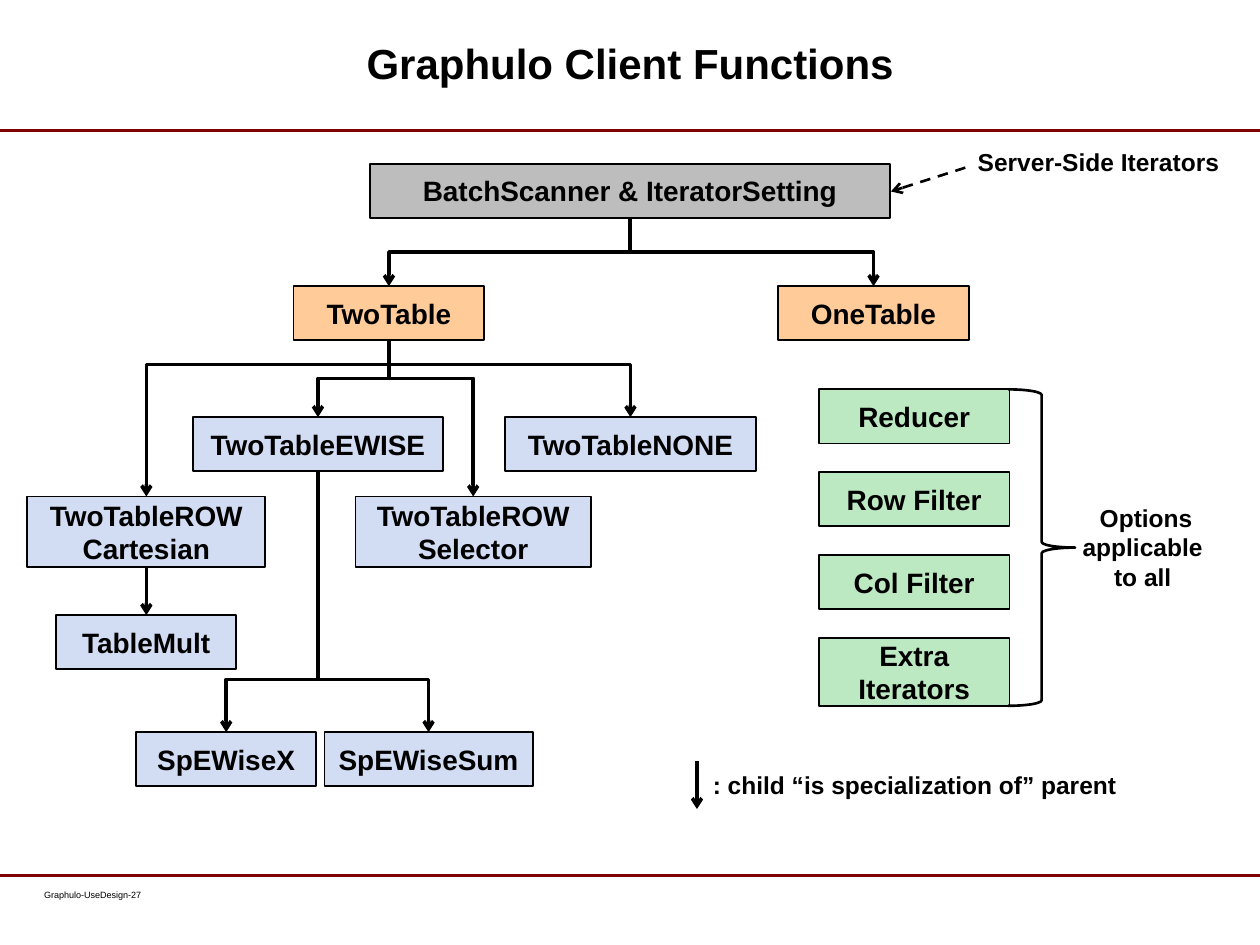
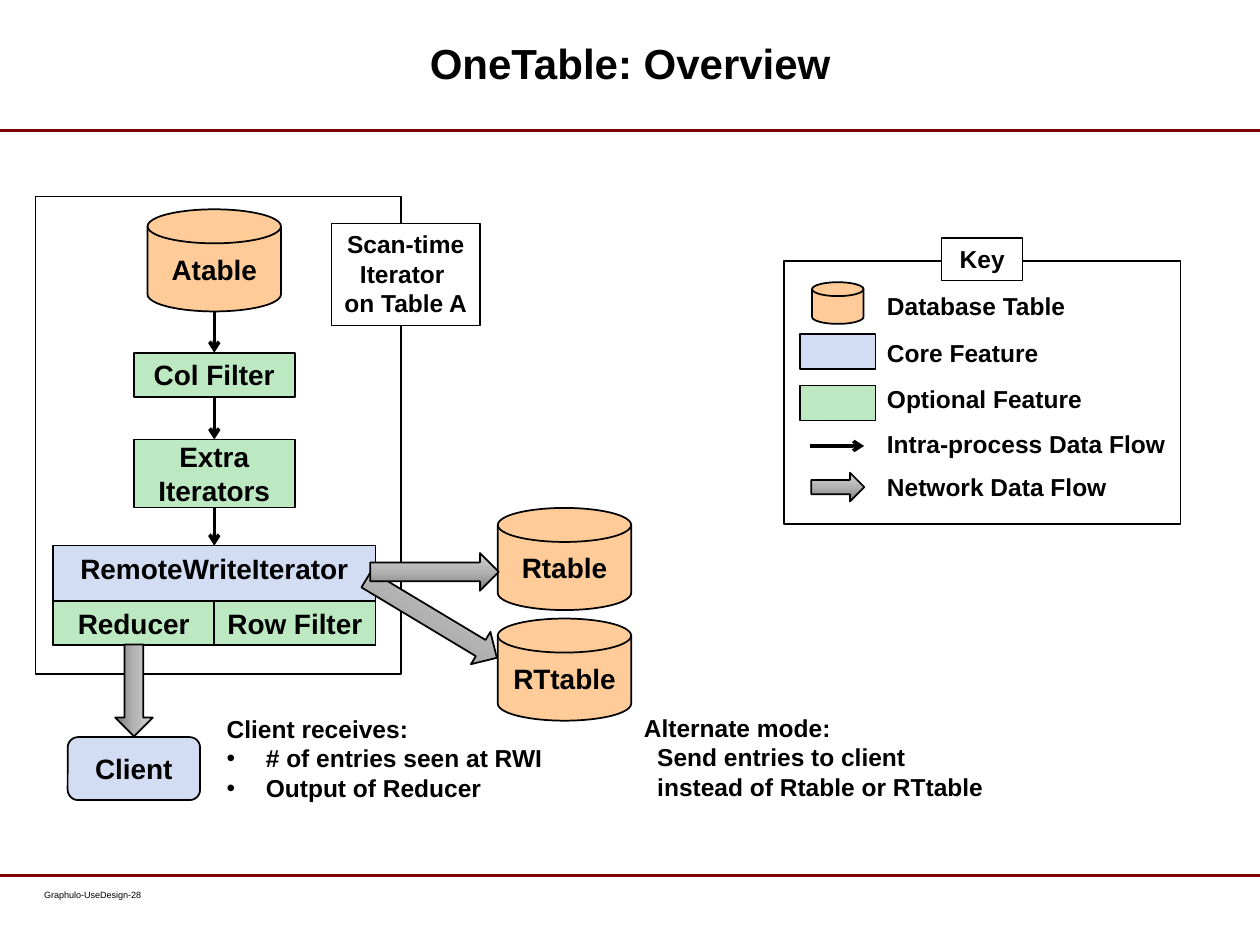
from copy import deepcopy

from lxml.etree import SubElement
from pptx import Presentation
from pptx.dml.color import RGBColor
from pptx.enum.dml import MSO_LINE
from pptx.enum.shapes import MSO_CONNECTOR, MSO_SHAPE
from pptx.enum.text import MSO_ANCHOR, MSO_AUTO_SIZE, PP_ALIGN
from pptx.oxml.ns import qn
from pptx.util import Cm, Pt

FONT = "Arial"
BLACK = "000000"
WHITE = "FFFFFF"
MAROON = "800000"
GRAY = "BDBDBD"
ORANGE = "FFCC99"
BLUE = "D2DCF2"
GREEN = "BDE9C2"
ARROW_GRADIENT = ((0, "7D7D7D"), (0.5, "B2B2B2"), (1, "D3D3D3"))
BOX_HEIGHT = 1.09
THIN_BOX_HEIGHT = 0.89
TWO_LINE_HEIGHT = 1.37
LABEL_HEIGHT = 0.86
THREE_LINE_HEIGHT = 2.06


def color(hex_string):
    return RGBColor.from_string(hex_string)


def write(shape, text, size, bold=True, align=PP_ALIGN.LEFT):
    shape.text_frame.text = text
    for paragraph in shape.text_frame.paragraphs:
        paragraph.alignment = align
        for run in paragraph.runs:
            run.font.name = FONT
            run.font.size = Pt(size)
            run.font.bold = bold
            run.font.color.rgb = color(BLACK)


def add_text(slide, left, top, width, height, text, size=14, wrap=False, **style):
    box = slide.shapes.add_textbox(Cm(left), Cm(top), Cm(width), Cm(height))
    box.text_frame.word_wrap = wrap
    box.text_frame.auto_size = MSO_AUTO_SIZE.SHAPE_TO_FIT_TEXT
    write(box, text, size, **style)
    return box


def add_box(slide, center, top, width, height, fill=None, text="",
            kind=MSO_SHAPE.RECTANGLE, size=16, line_width=1,
            anchor=MSO_ANCHOR.MIDDLE):
    shape = slide.shapes.add_shape(
        kind, Cm(center - width / 2), Cm(top), Cm(width), Cm(height))
    shape.shadow.inherit = False
    if fill:
        shape.fill.solid()
        shape.fill.fore_color.rgb = color(fill)
    else:
        shape.fill.background()
    shape.line.color.rgb = color(BLACK)
    shape.line.width = Pt(line_width)
    if text:
        write(shape, text, size, align=PP_ALIGN.CENTER)
        shape.text_frame.vertical_anchor = anchor
    return shape


def add_disk(slide, center, top, text="", width=2.69, height=2.06):
    return add_box(slide, center, top, width, height, ORANGE, text,
                   MSO_SHAPE.FLOWCHART_MAGNETIC_DISK)


def add_label(slide, center, top, width, height, text):
    return add_box(slide, center, top, width, height, WHITE, text,
                   size=14, line_width=0.75, anchor=MSO_ANCHOR.TOP)


def add_network_arrow(slide, center, top, width, height=0.76, rotation=0):
    arrow = add_box(slide, center, top, width, height, kind=MSO_SHAPE.RIGHT_ARROW)
    arrow.rotation = rotation
    arrow.fill.gradient()
    arrow.fill.gradient_angle = 90
    stop_list = arrow._element.spPr.find(qn("a:gradFill")).find(qn("a:gsLst"))
    stop_list.append(deepcopy(stop_list[0]))
    for stop, (position, shade) in zip(arrow.fill.gradient_stops, ARROW_GRADIENT):
        stop.position = position
        stop.color.rgb = color(shade)


def add_line(slide, start, end, shade=BLACK, width=2, head=True, dash=None,
             kind=MSO_CONNECTOR.STRAIGHT):
    line = slide.shapes.add_connector(kind, *start, *end)
    line.line.color.rgb = color(shade)
    line.line.width = Pt(width)
    if dash:
        line.line.dash_style = dash
    if head:
        SubElement(line.line._get_or_add_ln(), qn("a:tailEnd"), type="arrow")
    SubElement(line._element.spPr, qn("a:effectLst"))
    return line


def bottom_center(shape):
    return shape.left + shape.width // 2, shape.top + shape.height


def top_center(shape):
    return shape.left + shape.width // 2, shape.top


def link(slide, parent, child):
    add_line(slide, bottom_center(parent), top_center(child))


def link_bent(slide, parent, child, bend):
    start_x, start_y = bottom_center(parent)
    end_x, end_y = top_center(child)
    drop = end_y - start_y
    middle_x, middle_y = (start_x + end_x) // 2, (start_y + end_y) // 2
    half_span = abs(end_x - start_x) // 2
    goes_right = end_x > start_x
    half_drop = -drop // 2 if goes_right else drop // 2
    line = add_line(slide,
                    (middle_x - half_drop, middle_y - half_span),
                    (middle_x + half_drop, middle_y + half_span),
                    kind=MSO_CONNECTOR.ELBOW)
    properties = line._element.spPr
    quarter_turns = 3 if goes_right else 1
    properties.find(qn("a:xfrm")).set("rot", str(quarter_turns * 5400000))
    guides = properties.find(qn("a:prstGeom")).find(qn("a:avLst"))
    share = round((Cm(bend) - start_y) / drop * 100000)
    SubElement(guides, qn("a:gd"), name="adj1", fmla=f"val {share}")


def indent(paragraph, margin, bullet=None):
    properties = paragraph._p.get_or_add_pPr()
    properties.set("marL", str(Cm(margin)))
    if bullet:
        properties.set("indent", str(-Cm(margin)))
        SubElement(properties, qn("a:buFont"), typeface=FONT)
        SubElement(properties, qn("a:buChar"), char=bullet)


def start_slide(presentation, title, number):
    slide = presentation.slides.add_slide(presentation.slide_layouts[6])
    for rule_top in (2.64, 17.65):
        add_line(slide, (0, Cm(rule_top)),
                 (presentation.slide_width, Cm(rule_top)),
                 MAROON, 1.75, head=False)
    footer = add_text(slide, 0.89, 17.93, 3.02, 0.61,
                      f"Graphulo-UseDesign-{number}", 5.2, True, bold=False)
    frame = footer.text_frame
    frame.auto_size = MSO_AUTO_SIZE.NONE
    frame.margin_left = frame.margin_right = 0
    frame.margin_top = frame.margin_bottom = 0
    heading = add_text(slide, 2.62, 0.28, 20.17, 2.26, title, 24, True,
                       align=PP_ALIGN.CENTER)
    heading.text_frame.auto_size = MSO_AUTO_SIZE.NONE
    heading.text_frame.vertical_anchor = MSO_ANCHOR.MIDDLE
    heading.text_frame.paragraphs[0].line_spacing = Pt(21)
    return slide


def add_class_tree(slide):
    scanner = add_box(slide, 12.7, 3.3, 10.49, BOX_HEIGHT, GRAY,
                      "BatchScanner & IteratorSetting")
    two_table, one_table = [
        add_box(slide, center, 5.77, 3.84, BOX_HEIGHT, ORANGE, text)
        for center, text in ((7.84, "TwoTable"), (17.61, "OneTable"))]
    blue_boxes = (
        (2.95, 10.01, 4.8, 1.42, "TwoTableROW\nCartesian"),
        (6.41, 8.41, 5.05, BOX_HEIGHT, "TwoTableEWISE"),
        (9.54, 10.01, 4.75, 1.42, "TwoTableROW\nSelector"),
        (12.71, 8.41, 5.05, BOX_HEIGHT, "TwoTableNONE"),
        (2.95, 12.4, 3.63, BOX_HEIGHT, "TableMult"),
        (4.56, 14.76, 3.63, BOX_HEIGHT, "SpEWiseX"),
        (8.64, 14.76, 4.2, BOX_HEIGHT, "SpEWiseSum"),
    )
    cartesian, ewise, selector, none, table_mult, ewise_x, ewise_sum = [
        add_box(slide, center, top, width, height, BLUE, text)
        for center, top, width, height, text in blue_boxes]
    link(slide, cartesian, table_mult)
    for parent, children, bend in (
            (scanner, (two_table, one_table), 5.08),
            (two_table, (cartesian, none), 7.35),
            (two_table, (ewise, selector), 7.63),
            (ewise, (ewise_x, ewise_sum), 13.7)):
        for child in children:
            link_bent(slide, parent, child, bend)


def add_options(slide):
    options = ("Reducer", "Row Filter", "Col Filter", "Extra Iterators")
    for index, text in enumerate(options):
        height = TWO_LINE_HEIGHT if text == "Extra Iterators" else BOX_HEIGHT
        add_box(slide, 18.43, 7.85 + 1.67 * index, 3.84, height, GREEN, text)
    add_box(slide, 21.0, 7.85, 1.35, 6.38, kind=MSO_SHAPE.RIGHT_BRACE,
            line_width=1.5)
    add_text(slide, 21.34, 10.01, 3.53, THREE_LINE_HEIGHT,
             "Options applicable \nto all ", wrap=True, align=PP_ALIGN.CENTER)


def build_client_functions(presentation):
    slide = start_slide(presentation, "Graphulo Client Functions", 27)
    add_class_tree(slide)
    add_options(slide)
    add_line(slide, (Cm(14.05), Cm(15.34)), (Cm(14.05), Cm(16.31)))
    add_text(slide, 14.12, 15.39, 8.69, LABEL_HEIGHT,
             ": child “is specialization of” parent")
    add_line(slide, (Cm(19.46), Cm(3.38)), (Cm(17.96), Cm(3.86)),
             width=1.5, dash=MSO_LINE.DASH)
    add_text(slide, 19.46, 2.84, 5.41, LABEL_HEIGHT, "Server-Side Iterators")


def add_iterator_flow(slide):
    flow = 4.32
    add_box(slide, 4.4, 3.96, 7.37, 9.63)
    table = add_disk(slide, flow, 4.22, "Atable")
    column_filter = add_box(slide, flow, 7.11, 3.25, THIN_BOX_HEIGHT, GREEN,
                            "Col Filter")
    extra = add_box(slide, flow, 8.86, 3.25, TWO_LINE_HEIGHT, GREEN,
                    "Extra Iterators")
    writer = add_box(slide, flow, 11, 6.5, 2.01, BLUE, "RemoteWriteIterator",
                     anchor=MSO_ANCHOR.TOP)
    for side, text in ((-1, "Reducer"), (1, "Row Filter")):
        add_box(slide, flow + side * 3.25 / 2, 12.12, 3.25, THIN_BOX_HEIGHT,
                GREEN, text)
    stages = (table, column_filter, extra, writer)
    for parent, child in zip(stages, stages[1:]):
        link(slide, parent, child)
    add_label(slide, 8.18, 4.5, 3, THREE_LINE_HEIGHT,
              "Scan-time Iterator \non Table A")


def add_destinations(slide):
    add_disk(slide, 11.38, 10.24, "Rtable")
    add_disk(slide, 11.38, 12.47, "RTtable")
    add_box(slide, 2.7, 14.86, 2.67, 1.27, BLUE, "Client",
            MSO_SHAPE.FLOWCHART_ALTERNATE_PROCESS)
    add_network_arrow(slide, 8.7, 12.09, 3.07, rotation=31)
    add_network_arrow(slide, 8.76, 11.15, 2.59)
    add_network_arrow(slide, 2.7, 13.54, 1.85, rotation=90)
    received = add_text(
        slide, 4.32, 14.27, 6.91, THREE_LINE_HEIGHT,
        "Client receives:\n# of entries seen at RWI\nOutput of Reducer")
    for paragraph in received.text_frame.paragraphs[1:]:
        indent(paragraph, 0.79, "•")
    alternate = add_text(
        slide, 12.73, 14.25, 7.39, THREE_LINE_HEIGHT,
        "Alternate mode:\nSend entries to client\ninstead of Rtable or RTtable")
    for paragraph in alternate.text_frame.paragraphs[1:]:
        indent(paragraph, 0.27)


def add_key(slide):
    swatch = 16.89
    add_box(slide, 19.8, 5.26, 8, 5.31)
    add_label(slide, 19.8, 4.8, 1.63, LABEL_HEIGHT, "Key")
    add_disk(slide, swatch, 5.69, width=1.04, height=0.84)
    add_box(slide, swatch, 6.73, 1.52, 0.71, BLUE)
    add_box(slide, swatch, 7.77, 1.52, 0.71, GREEN)
    add_line(slide, (Cm(16.33), Cm(8.99)), (Cm(17.42), Cm(8.99)))
    add_network_arrow(slide, swatch, 9.53, 1.07, 0.58)
    for top, width, text in (
            (5.74, 4.32, "Database Table"),
            (6.68, 3.58, "Core Feature"),
            (7.62, 4.47, "Optional Feature"),
            (8.52, 6.15, "Intra-process Data Flow"),
            (9.4, 4.95, "Network Data Flow")):
        add_text(slide, 17.63, top, width, LABEL_HEIGHT, text)


def build_one_table(presentation):
    slide = start_slide(presentation, "OneTable: Overview", 28)
    add_iterator_flow(slide)
    add_destinations(slide)
    add_key(slide)


def main():
    presentation = Presentation()
    presentation.slide_width = Cm(25.4)
    presentation.slide_height = Cm(19.05)
    build_client_functions(presentation)
    build_one_table(presentation)
    presentation.save("out.pptx")


if __name__ == "__main__":
    main()
